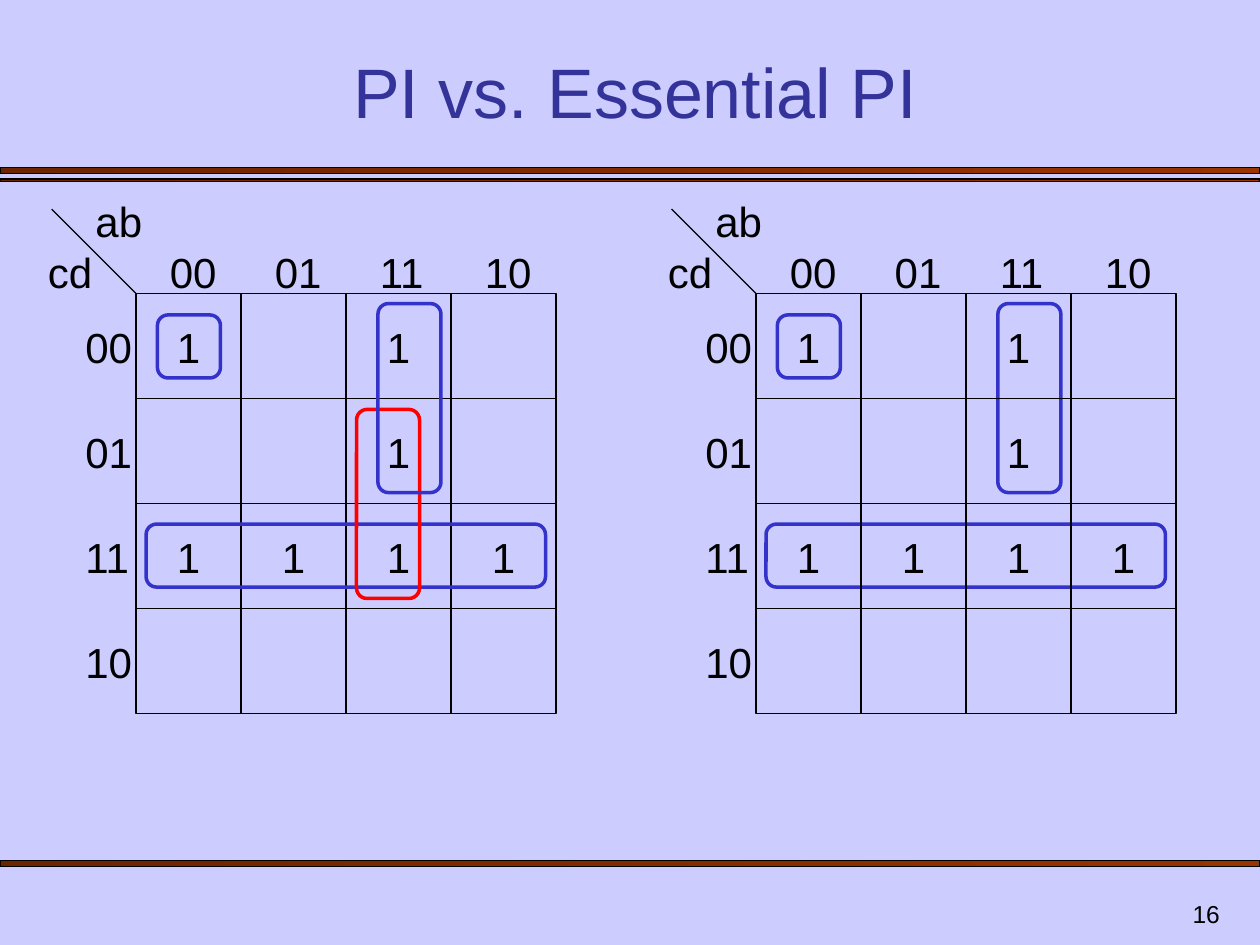
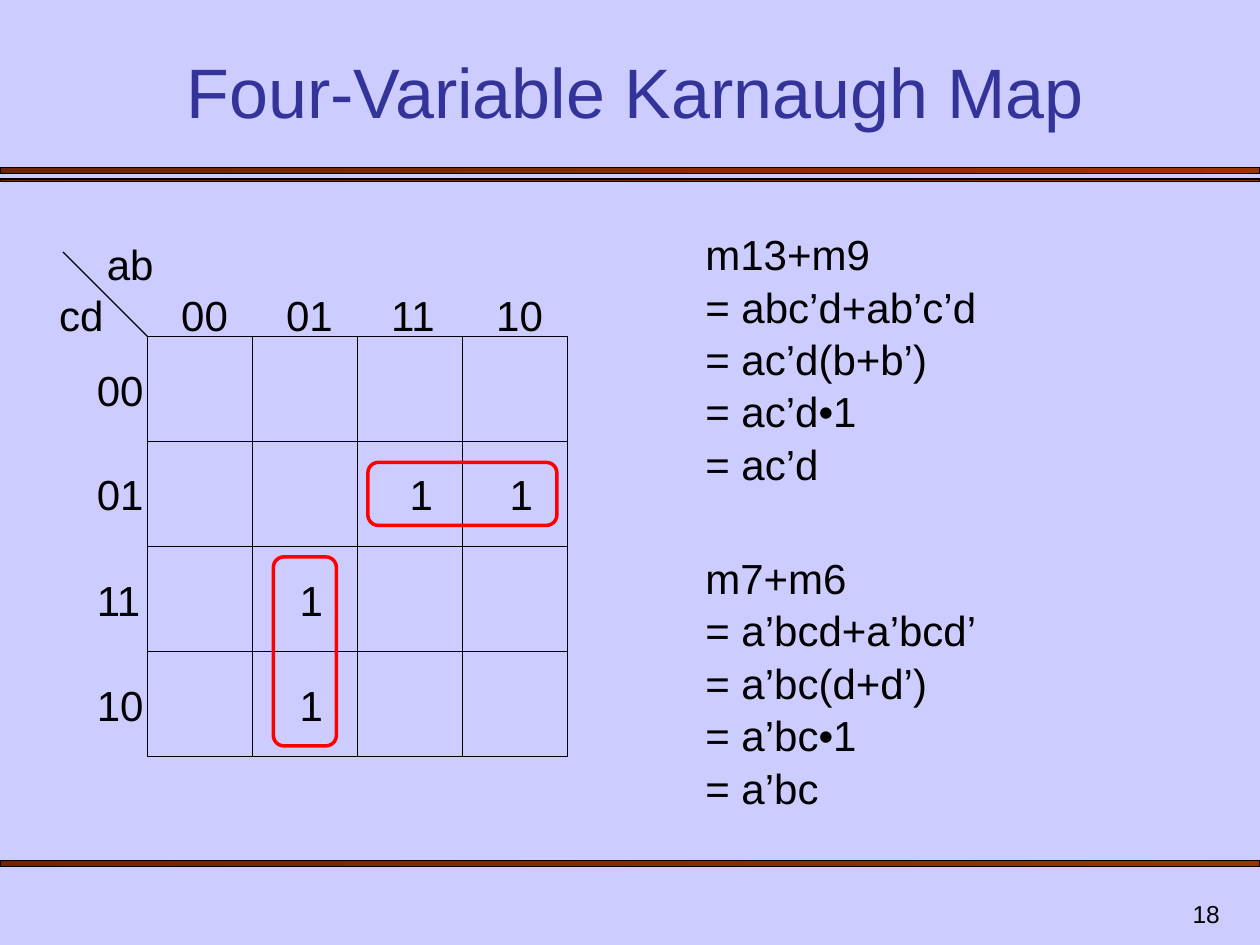
from dataclasses import dataclass

from lxml import etree
from pptx import Presentation
from pptx.dml.color import RGBColor
from pptx.enum.shapes import MSO_CONNECTOR, MSO_SHAPE
from pptx.enum.text import MSO_ANCHOR, PP_ALIGN
from pptx.oxml.ns import qn
from pptx.util import Inches, Pt

RECTANGLE = MSO_SHAPE.RECTANGLE
ROUNDED = MSO_SHAPE.ROUNDED_RECTANGLE
STRAIGHT = MSO_CONNECTOR.STRAIGHT
LEFT, CENTER, RIGHT = PP_ALIGN.LEFT, PP_ALIGN.CENTER, PP_ALIGN.RIGHT
TOP, BOTTOM = MSO_ANCHOR.TOP, MSO_ANCHOR.BOTTOM


@dataclass(frozen=True)
class Theme:
    font: str = "Arial"
    background: RGBColor = RGBColor(0xCC, 0xCC, 0xFF)
    title: RGBColor = RGBColor(0x33, 0x33, 0x99)
    ink: RGBColor = RGBColor(0, 0, 0)
    band_start: RGBColor = RGBColor(0x6D, 0x24, 0x00)
    band_end: RGBColor = RGBColor(0x99, 0x33, 0x00)
    blue: RGBColor = RGBColor(0x33, 0x33, 0xCC)
    red: RGBColor = RGBColor(0xFF, 0, 0)
    title_size: float = 40
    body_size: float = 24
    number_size: float = 14
    thin: float = 0.75
    thick: float = 2


THEME = Theme()
CELL = 5 / 6
GRAY_CODES = ["00", "01", "11", "10"]
BANDS = [(1.33, 0.05), (1.42, 0.02), (6.83, 0.05)]

IMPLICANTS = [(0, 0), (0, 2), (1, 2), (2, 0), (2, 1), (2, 2), (2, 3)]
ESSENTIAL_LOOPS = [
    (0.08, 1.83, 3.17, 0.5, THEME.blue),
    (1.92, 0.08, 0.5, 1.5, THEME.blue),
    (0.17, 0.17, 0.5, 0.5, THEME.blue),
]
REDUNDANT_LOOP = (1.75, 0.92, 0.5, 1.5, THEME.red)

SLIDES = [
    {
        "title": "PI vs. Essential PI",
        "number": "16",
        "maps": [
            {
                "origin": (1.08, 2.33),
                "layers": ["grid", "loops"],
                "ones": [(row, column, 0) for row, column in IMPLICANTS],
                "loops": [ESSENTIAL_LOOPS[0], REDUNDANT_LOOP, *ESSENTIAL_LOOPS[1:]],
            },
            {
                "origin": (6, 2.33),
                "layers": ["loops", "grid"],
                "ones": [(row, column, 0) for row, column in IMPLICANTS],
                "loops": ESSENTIAL_LOOPS,
            },
        ],
        "derivations": [],
    },
    {
        "title": "Four-Variable Karnaugh Map",
        "number": "18",
        "maps": [
            {
                "origin": (1.17, 2.67),
                "layers": ["grid", "loops"],
                "ones": [(1, 2, 0.09), (1, 3, 0.05), (2, 1, 0.05), (3, 1, 0.05)],
                "loops": [
                    (1, 1.75, 0.5, 1.5, THEME.red),
                    (1.75, 1, 1.5, 0.5, THEME.red),
                ],
            },
        ],
        "derivations": [
            (1.75, ["m13+m9", "= abc’d+ab’c’d", "= ac’d(b+b’)", "= ac’d•1", "= ac’d"]),
            (4.32, ["m7+m6", "= a’bcd+a’bcd’", "= a’bc(d+d’)", "= a’bc•1", "= a’bc"]),
        ],
    },
]


def add_text(shapes, lines, left, top, width, height=0.5, align=LEFT,
             size=THEME.body_size, color=THEME.ink, anchor=TOP):
    box = shapes.add_textbox(Inches(left), Inches(top), Inches(width), Inches(height))
    frame = box.text_frame
    frame.word_wrap = True
    frame.vertical_anchor = anchor
    paragraph = frame.paragraphs[0]
    paragraph.alignment = align
    for index, line in enumerate(lines):
        if index:
            paragraph.add_line_break()
        run = paragraph.add_run()
        run.text = line
        run.font.name = THEME.font
        run.font.size = Pt(size)
        run.font.color.rgb = color
    return paragraph


def add_outline(shapes, kind, left, top, width, height, color=THEME.ink, weight=THEME.thin):
    shape = shapes.add_shape(kind, Inches(left), Inches(top), Inches(width), Inches(height))
    shape.shadow.inherit = False
    shape.fill.background()
    shape.line.color.rgb = color
    shape.line.width = Pt(weight)
    return shape


presentation = Presentation()
presentation.slide_width = Inches(10)
presentation.slide_height = Inches(7.5)
master_fill = presentation.slide_master.background.fill
master_fill.solid()
master_fill.fore_color.rgb = THEME.background

for content in SLIDES:
    slide = presentation.slides.add_slide(presentation.slide_layouts[6])

    for band_top, band_height in BANDS:
        band = add_outline(slide.shapes, RECTANGLE, 0, band_top, 10, band_height)
        band.fill.gradient()
        band.fill.gradient_angle = 0
        start, end = band.fill.gradient_stops
        start.color.rgb, start.position = THEME.band_start, 0
        end.color.rgb, end.position = THEME.band_end, 1

    add_text(slide.shapes, [content["number"]], 7.7, 7, 2.08, 0.42, RIGHT,
             THEME.number_size, anchor=BOTTOM)
    add_text(slide.shapes, [content["title"]], 0.58, 0.42, 8.92, 0.68, CENTER,
             THEME.title_size, THEME.title, BOTTOM)

    for karnaugh_map in content["maps"]:
        left, top = karnaugh_map["origin"]
        for layer in karnaugh_map["layers"]:
            if layer == "loops":
                for x, y, width, height, color in karnaugh_map["loops"]:
                    add_outline(slide.shapes, ROUNDED, left + x, top + y,
                                width, height, color, THEME.thick)
                continue

            grid = slide.shapes.add_group_shape().shapes
            add_text(grid, ["ab"], left - 0.42, top - 0.83, 0.67)
            add_text(grid, ["cd"], left - 0.83, top - 0.42, 0.58, align=RIGHT)
            diagonal = grid.add_connector(STRAIGHT, Inches(left - 0.67), Inches(top - 0.67),
                                          Inches(left), Inches(top))
            diagonal.line.color.rgb = THEME.ink
            diagonal.line.width = Pt(THEME.thin)
            etree.SubElement(diagonal._element.spPr, qn("a:effectLst"))

            for index, code in enumerate(GRAY_CODES):
                offset = index * CELL
                add_text(grid, [code], left + 0.17 + offset, top - 0.42, 0.6)
                add_text(grid, [code], left - 0.5, top + 0.17 + offset, 0.6)
                for column in range(len(GRAY_CODES)):
                    add_outline(grid, RECTANGLE, left + column * CELL, top + offset, CELL, CELL)

            for row, column, shift in karnaugh_map["ones"]:
                add_text(grid, ["1"], left + column * CELL + shift,
                         top + 0.17 + row * CELL, CELL, align=CENTER)

    for derivation_top, steps in content["derivations"]:
        derivation = add_text(slide.shapes, steps, 5.5, derivation_top, 2.83, 2.1)
        derivation.line_spacing = 1.04

presentation.save("out.pptx")
